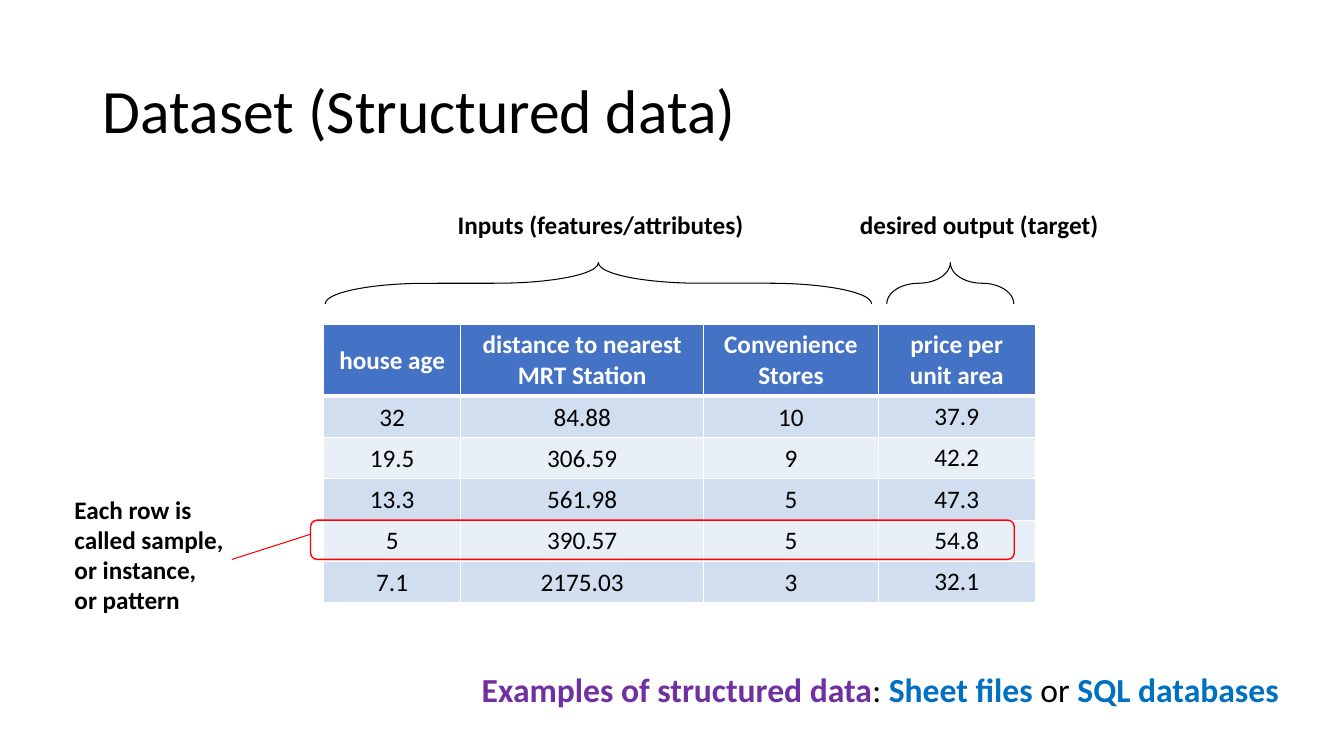
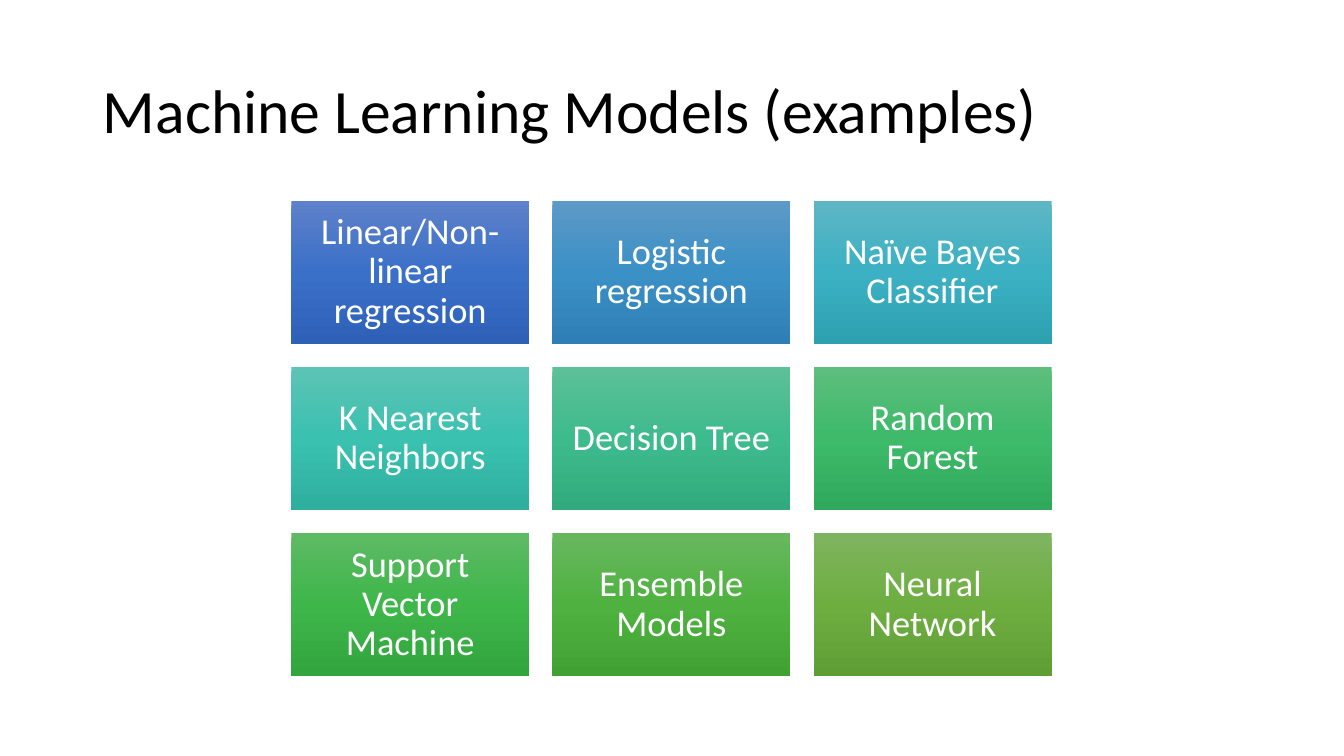
from copy import deepcopy

from pptx import Presentation
from pptx.dml.color import RGBColor
from pptx.enum.shapes import MSO_CONNECTOR, MSO_SHAPE
from pptx.enum.text import MSO_ANCHOR, MSO_AUTO_SIZE, PP_ALIGN
from pptx.oxml.ns import qn
from pptx.util import Inches, Pt
from lxml.etree import SubElement

COLORS = {
    "text": "000000", "white": "FFFFFF", "header": "4472C4",
    "odd": "D0DEEF", "even": "E9EFF7", "mark": "FF0000",
    "topic": "7030A0", "example": "0070C0",
}
GRADIENTS = {
    "Linear/Non-linear regression": ("5E81C9", "3B70C9", "2E60B8"),
    "Logistic regression": ("5E9AC6", "3B90C6", "2E7FB5"),
    "Naïve Bayes Classifier": ("5EB6C4", "3BB1C3", "2EA1B1"),
    "K Nearest Neighbors": ("5DC3B5", "3AC1B0", "2FAF9E"),
    "Decision Tree": ("5DC098", "3EBB8C", "31AB7D"),
    "Random Forest": ("5DBE7D", "3DBA6A", "31A95C"),
    "Support Vector Machine": ("5EBA65", "3EB64A", "32A53E"),
    "Ensemble Models": ("68B75F", "4FB240", "42A133"),
    "Neural Network": ("7EB45F", "6EAE41", "5F9E35"),
}
ROWS = [
    ("house age", "distance to nearest MRT Station", "Convenience Stores", "price per unit area"),
    ("32", "84.88", "10", "37.9"),
    ("19.5", "306.59", "9", "42.2"),
    ("13.3", "561.98", "5", "47.3"),
    ("5", "390.57", "5", "54.8"),
    ("7.1", "2175.03", "3", "32.1"),
]


def rgb(name):
    return RGBColor.from_string(COLORS.get(name, name))


def apply(obj, formats):
    for name, value in formats.items():
        setattr(obj, name, value)


def margins(left, top, right, bottom):
    names = ("margin_left", "margin_top", "margin_right", "margin_bottom")
    return {n: Inches(v) for n, v in zip(names, (left, top, right, bottom))}


class Deck:
    """Hold the shared style and draw elements on the current slide."""

    font = "Calibri"
    title_box = (0.92, 0.4, 11.5, 1.45)
    padding = margins(0.1, 0.05, 0.1, 0.05)

    def __init__(self):
        self.prs = Presentation()
        apply(self.prs, {"slide_width": Inches(13.33), "slide_height": Inches(7.5)})
        self.s = None

    def fill_text(self, tf, paragraphs, para=None, **style):
        for i, runs in enumerate(paragraphs):
            p = tf.paragraphs[0] if i == 0 else tf.add_paragraph()
            apply(p, para or {})
            for text, changes in runs:
                look = {"size": 18, "bold": False, "color": "text", **style, **changes}
                r = p.add_run()
                r.text = text
                apply(r.font, {"name": self.font, "size": Pt(look["size"]), "bold": look["bold"]})
                r.font.color.rgb = rgb(look["color"])

    def add_slide(self, title):
        self.s = self.prs.slides.add_slide(self.prs.slide_layouts[5])
        sp = self.s.shapes.title
        apply(sp, dict(zip(("left", "top", "width", "height"), map(Inches, self.title_box))))
        apply(sp.text_frame, {**self.padding, "word_wrap": True, "auto_size": MSO_AUTO_SIZE.NONE,
                              "vertical_anchor": MSO_ANCHOR.MIDDLE})
        self.fill_text(sp.text_frame, [[(title, {})]],
                       {"alignment": PP_ALIGN.LEFT, "line_spacing": 0.9}, size=44)

    def text(self, box, paragraphs, **style):
        tf = self.s.shapes.add_textbox(*map(Inches, box)).text_frame
        apply(tf, {**self.padding, "word_wrap": True})
        self.fill_text(tf, paragraphs, **style)

    def shape(self, kind, box):
        sp = self.s.shapes.add_shape(kind, *map(Inches, box))
        sp.shadow.inherit = False
        return sp

    def outline(self, kind, box, color, width, adjustments, rotation=0):
        sp = self.shape(kind, box)
        sp.rotation = rotation
        for i, value in enumerate(adjustments):
            sp.adjustments[i] = value
        sp.fill.background()
        sp.line.color.rgb = rgb(color)
        sp.line.width = Pt(width)

    def brace(self, box):
        self.outline(MSO_SHAPE.LEFT_BRACE, box, "text", 0.75, (2.468, 0.5), 90)

    def line(self, start, end, color, width):
        sp = self.s.shapes.add_connector(MSO_CONNECTOR.STRAIGHT, *map(Inches, start + end))
        sp.line.color.rgb = rgb(color)
        sp.line.width = Pt(width)
        SubElement(sp._element.spPr, qn("a:effectLst"))

    def tile(self, box, label, colors):
        sp = self.shape(MSO_SHAPE.RECTANGLE, box)
        sp.line.fill.background()
        sp.fill.gradient()
        sp.fill.gradient_angle = 270
        stops = sp._element.spPr.find(".//" + qn("a:gsLst"))
        stops.append(deepcopy(stops[0]))
        for stop, position, color in zip(sp.fill.gradient_stops, (0, 0.5, 1), colors):
            stop.position = position
            stop.color.rgb = rgb(color)
        tf = sp.text_frame
        apply(tf, {**margins(0.11, 0.11, 0.11, 0.11), "word_wrap": True,
                   "vertical_anchor": MSO_ANCHOR.MIDDLE})
        self.fill_text(tf, [[(label, {})]], {"alignment": PP_ALIGN.CENTER, "line_spacing": 0.9},
                       size=26, color="white")

    def borders(self, cell, bottom):
        tc_pr = cell._tc.get_or_add_tcPr()
        for i, (side, width) in enumerate((("L", 1), ("R", 1), ("T", 1), ("B", bottom))):
            ln = tc_pr.makeelement(qn("a:ln" + side), {"w": str(Pt(width))})
            SubElement(SubElement(ln, qn("a:solidFill")), qn("a:srgbClr"), val=COLORS["white"])
            tc_pr.insert(i, ln)

    def table(self, left, top, widths, heights, rows):
        tbl = self.s.shapes.add_table(len(rows), len(widths), Inches(left), Inches(top),
                                      Inches(sum(widths)), Inches(sum(heights))).table
        for column, width in zip(tbl.columns, widths):
            column.width = Inches(width)
        for i, (row, height) in enumerate(zip(rows, heights)):
            tbl.rows[i].height = Inches(height)
            header = i == 0
            fill = "header" if header else "odd" if i % 2 else "even"
            for j, value in enumerate(row):
                cell = tbl.cell(i, j)
                roomy = header or j == len(row) - 1
                apply(cell, self.padding if roomy else margins(0.01, 0.01, 0.01, 0))
                cell.vertical_anchor = MSO_ANCHOR.MIDDLE
                cell.fill.solid()
                cell.fill.fore_color.rgb = rgb(fill)
                self.borders(cell, 3 if header else 1)
                self.fill_text(cell.text_frame, [[(value, {})]], {"alignment": PP_ALIGN.CENTER},
                               bold=header, color="white" if header else "text")


def dataset_slide(deck):
    deck.add_slide("Dataset (Structured data)")
    deck.table(3.21, 3.22, (1.36, 2.41, 1.73, 1.56), [0.7] + [0.41] * 5, ROWS)
    deck.brace((5.73, 0.1, 0.41, 5.42))
    deck.brace((9.22, 2.18, 0.41, 1.26))
    deck.text((4.44, 2.03, 3.22, 0.4), [[("Inputs (features/attributes)", {})]], bold=True)
    deck.text((8.43, 2.03, 2.64, 0.4), [[("desired output (target)", {})]], bold=True)
    deck.outline(MSO_SHAPE.ROUNDED_RECTANGLE, (3.08, 5.16, 6.98, 0.39), "mark", 1, (0.167,))
    deck.line((3.08, 5.3), (2.3, 5.55), "mark", 0.75)
    lines = ("Each row is called sample,", "or instance,", "or pattern")
    deck.text((0.64, 4.85, 1.92, 1.31), [[(t, {})] for t in lines], bold=True)
    topic = {"bold": True, "color": "topic"}
    example = {"bold": True, "color": "example"}
    deck.text((4.68, 6.59, 8.66, 0.5), [[
        ("Examples of structured data", topic), (": ", {}), ("Sheet files", example),
        (" or ", {}), ("SQL databases", example)]], size=24)


def models_slide(deck):
    deck.add_slide("Machine Learning Models (examples)")
    width, height, gap = 2.36, 1.42, 0.23
    for i, (label, colors) in enumerate(GRADIENTS.items()):
        row, col = divmod(i, 3)
        box = (2.89 + col * (width + gap), 1.99 + row * (height + gap), width, height)
        deck.tile(box, label, colors)


def main():
    deck = Deck()
    dataset_slide(deck)
    models_slide(deck)
    deck.prs.save("out.pptx")


if __name__ == "__main__":
    main()
